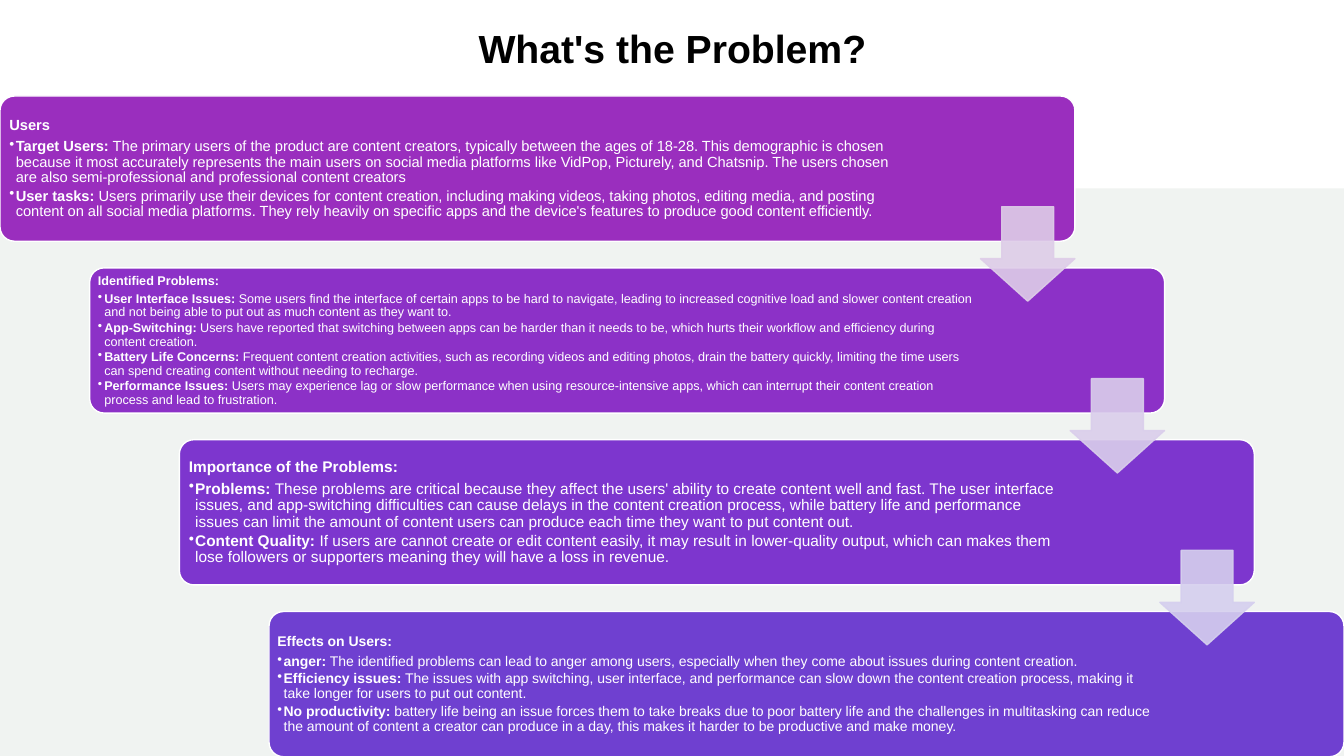
from dataclasses import dataclass

from lxml import etree
from pptx import Presentation
from pptx.dml.color import RGBColor
from pptx.enum.shapes import MSO_SHAPE
from pptx.enum.text import MSO_ANCHOR, PP_ALIGN
from pptx.oxml.ns import qn
from pptx.util import Cm, Pt

RECT = MSO_SHAPE.RECTANGLE
ROUND = MSO_SHAPE.ROUNDED_RECTANGLE
ARROW = MSO_SHAPE.DOWN_ARROW
MIDDLE = MSO_ANCHOR.MIDDLE
CENTER = PP_ALIGN.CENTER
LEFT = PP_ALIGN.LEFT


@dataclass(frozen=True)
class Theme:
    """Colours and type sizes of the slide."""
    font: str = "Arial"
    black: str = "000000"
    white: str = "FFFFFF"
    band: str = "F0F3F1"
    steps: tuple = ("9A2EBE", "8C31C7", "7D36CE", "6F40D0")
    arrows: tuple = ("DECDE8", "DACEEB", "D5CFEE")
    title: float = 28
    sizes: tuple = (10.5, 9, 11, 10)


PANELS = [
    ("Users", 22.83, 0.13, [
        ("Target Users:", "The primary users of the product are content creators, typically between the ages of 18-28. This demographic is chosen because it most accurately represents the main users on social media platforms like VidPop, Picturely, and Chatsnip. The users chosen are also semi-professional and professional content creators"),
        ("User tasks:", "Users primarily use their devices for content creation, including making videos, taking photos, editing media, and posting content on all social media platforms. They rely heavily on specific apps and the device's features to produce good content efficiently."),
    ]),
    ("Identified Problems:", 22.23, 0.1, [
        ("User Interface Issues:", "Some users find the interface of certain apps to be hard to navigate, leading to increased cognitive load and slower content creation and not being able to put out as much content as they want to."),
        ("App-Switching:", "Users have reported that switching between apps can be harder than it needs to be, which hurts their workflow and efficiency during content creation."),
        ("Battery Life Concerns:", "Frequent content creation activities, such as recording videos and editing photos, drain the battery quickly, limiting the time users can spend creating content without needing to recharge."),
        ("Performance Issues:", "Users may experience lag or slow performance when using resource-intensive apps, which can interrupt their content creation process and lead to frustration."),
    ]),
    ("Importance of the Problems:", 22.25, 0.13, [
        ("Problems:", "These problems are critical because they affect the users' ability to create content well and fast. The user interface issues, and app-switching difficulties can cause delays in the content creation process, while battery life and performance issues can limit the amount of content users can produce each time they want to put content out."),
        ("Content Quality:", "If users are cannot create or edit content easily, it may result in lower-quality output, which can makes them lose followers or supporters meaning they will have a loss in revenue."),
    ]),
    ("Effects on Users:", 22.23, 0.1, [
        ("anger:", "The identified problems can lead to anger among users, especially when they come about issues during content creation."),
        ("Efficiency issues:", "The issues with app switching, user interface, and performance can slow down the content creation process, making it take longer for users to put out content."),
        ("No productivity:", "battery life being an issue forces them to take breaks due to poor battery life and the challenges in multitasking can reduce the amount of content a creator can produce in a day, this makes it harder to be productive and make money."),
    ]),
]


def apply(target, values):
    """Set each attribute of the target from a dict."""
    for name, value in values.items():
        setattr(target, name, value)


class Deck:
    """Holds the theme and the current slide."""

    def __init__(self, theme):
        """Start a deck with one blank slide."""
        self.theme = theme
        self.file = Presentation()
        apply(self.file, {"slide_width": Cm(33.87), "slide_height": Cm(19.05)})
        self.slide = self.file.slides.add_slide(self.file.slide_layouts[6])

    def shape(self, kind, box, fill, line=None, adjust=(), alpha=None):
        """Add a filled preset shape."""
        item = self.slide.shapes.add_shape(kind, *map(Cm, box))
        item.shadow.inherit = False
        item.fill.solid()
        item.fill.fore_color.rgb = RGBColor.from_string(fill)
        if line:
            item.line.color.rgb = RGBColor.from_string(line)
            item.line.width = Pt(1)
        else:
            item.line.fill.background()
        for index, value in enumerate(adjust):
            item.adjustments[index] = value
        if alpha:
            for color in item.element.spPr.iter(qn("a:srgbClr")):
                etree.SubElement(color, qn("a:alpha"), val=str(alpha * 1000))

    def frame(self, box, inset):
        """Add a wrapped text box and return its frame."""
        frame = self.slide.shapes.add_textbox(*map(Cm, box)).text_frame
        apply(frame, {"word_wrap": True, "vertical_anchor": MIDDLE})
        apply(frame, {f"margin_{side}": Cm(inset)
                      for side in ("left", "top", "right", "bottom")})
        return frame

    def para(self, para, runs, size, color, **form):
        """Fill a paragraph with runs of text and weight."""
        apply(para, form)
        for text, bold in runs:
            run = para.add_run()
            run.text = text
            apply(run.font, {"name": self.theme.font, "size": Pt(size), "bold": bold})
            run.font.color.rgb = RGBColor.from_string(color)

    def bullet(self, para):
        """Give a paragraph a hanging bullet."""
        para.level = 1
        props = para._p.get_or_add_pPr()
        hang = Cm(0.16)
        props.set("marL", str(hang))
        props.set("indent", str(-hang))
        etree.SubElement(props, qn("a:buChar"), char="•")

    def title(self, text, box):
        """Add the centred slide title."""
        frame = self.frame(box, 0.13)
        self.para(frame.paragraphs[0], [(text, True)], self.theme.title,
                  self.theme.black, alignment=CENTER, line_spacing=1.1)

    def panel(self, head, points, box, inset, size):
        """Add a heading with bulleted points."""
        frame = self.frame(box, inset)
        form = {"alignment": LEFT, "line_spacing": 0.9}
        self.para(frame.paragraphs[0], [(head, True)], size, self.theme.white,
                  space_after=Pt(0.35 * size), **form)
        for label, text in points:
            para = frame.add_paragraph()
            self.para(para, [(label, True), (" " + text, False)], size,
                      self.theme.white, space_after=Pt(0.15 * size), **form)
            self.bullet(para)


def main():
    """Build and save the slide."""
    theme = Theme()
    deck = Deck(theme)
    across, down, top, pad = 2.26, 4.33, 2.42, 0.11
    deck.title("What's the Problem?", (3, -0.08, 27.89, 2.46))
    deck.shape(RECT, (0, 4.75, 33.87, 14.3), theme.band)
    for step, (head, width, inset, points) in enumerate(PANELS):
        left, level = step * across, top + step * down
        deck.shape(ROUND, (left, level, 27.09, 3.66), theme.steps[step],
                   theme.white, (0.1,))
        deck.panel(head, points, (left + pad, level + pad, width, 3.45),
                   inset, theme.sizes[step])
    for step, color in enumerate(theme.arrows):
        box = (24.71 + step * across, 5.21 + step * down, 2.38, 2.38)
        deck.shape(ARROW, box, color, color, (0.55, 0.45), 90)
    deck.file.save("out.pptx")


if __name__ == "__main__":
    main()
